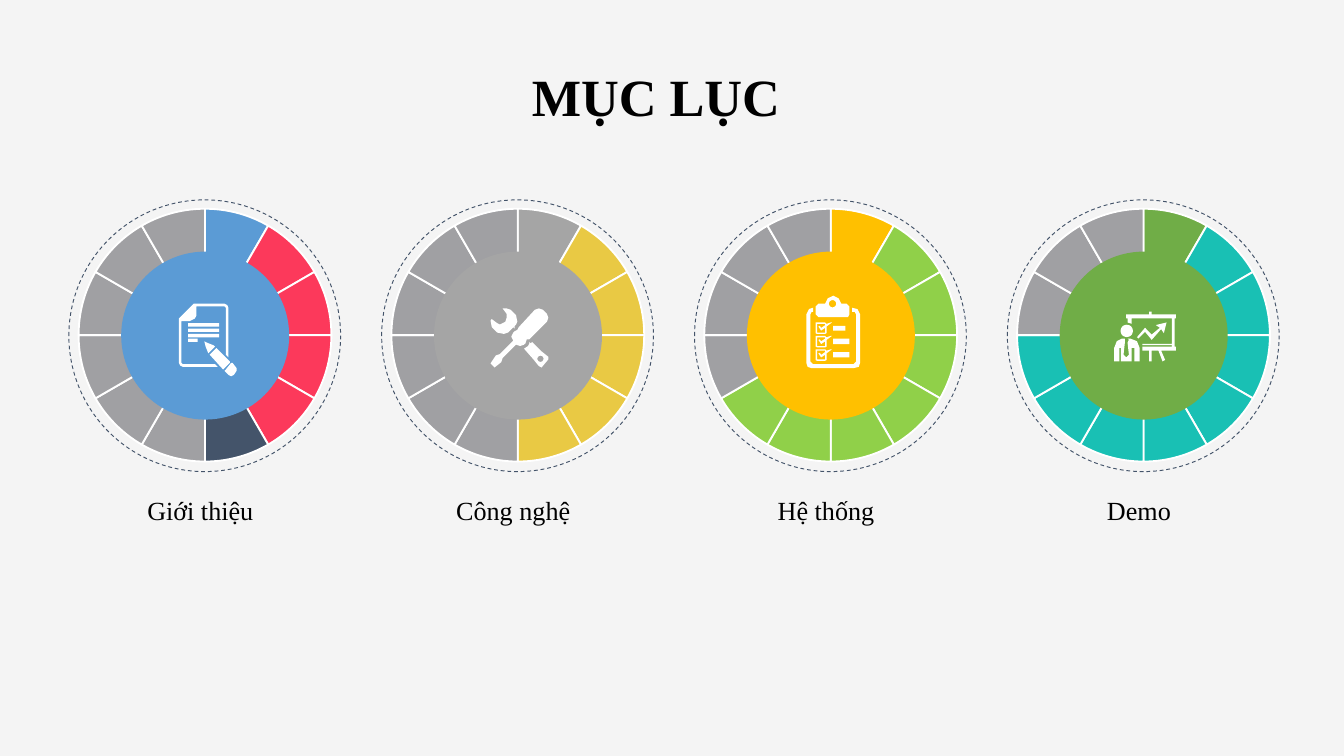
from math import cos, pi, sin

from lxml.etree import SubElement
from pptx import Presentation
from pptx.chart.data import CategoryChartData
from pptx.dml.color import RGBColor
from pptx.enum.chart import XL_CHART_TYPE
from pptx.enum.dml import MSO_LINE
from pptx.enum.shapes import MSO_SHAPE
from pptx.enum.text import MSO_ANCHOR, PP_ALIGN
from pptx.oxml.ns import qn
from pptx.util import Pt

STEP = 167.6
GRAY = "A0A0A3"
ICON_UNIT = 0.72
ICON_DETAIL = 10

# Name, hub colour, colours of the segments after the first, icon left and top
TOPICS = [
    ("Giới thiệu", "5B9BD5", ["FC395B"] * 4 + ["44546A"], 95.8, 162.7),
    ("Công nghệ", "A5A5A5", ["E9C944"] * 5, 262.8, 164.5),
    ("Hệ thống", "FFC000", ["90D049"] * 7, 432, 158.4),
    ("Demo", "70AD47", ["19C0B4"] * 8, 596.9, 167),
]


def color(hex_code):
    return RGBColor.from_string(hex_code)


def apply(target, values):
    for name, value in values.items():
        setattr(target, name, value)


def outline(text):
    """Turn "x,y x,y ..." into a list of points."""
    return [tuple(map(float, pair.split(","))) for pair in text.split()]


def box(left, top, right, bottom):
    return [(left, top), (right, top), (right, bottom), (left, bottom)]


def circle(x, y, radius, sides=24):
    angles = [2 * pi * i / sides for i in range(sides)]
    return [(x + radius * cos(a), y + radius * sin(a)) for a in angles]


def shift_down(points, distance):
    return [(x, y + distance) for x, y in points]


DOCUMENT = [
    outline("11,0 34,0 36,1 37,3 37,40 35,38 35,3 34,2 13,2 13,9 12,11 8,13 2,13 "
            "2,44 3,45 27,45 29,47 3,47 1,46 0,44 0,11"),
    *[box(7, top, 30, top + 2.5) for top in (14.5, 18.5, 22.5)],
    box(7, 26, 14, 28.5),
    outline("19,28 21,29 26,31 27,32 22,37 20,32"),
    outline("28,33 38,43 38,44 37,45 33,49 23,38"),
    outline("39,44 40,44 43,48 43,50 41,53 39,54 37,53 34,50 35,49"),
]

TOOLS = [
    outline("29,26 29,27 28,29 25,31 32,39 36,44 38,45 43,39 43,37 38,33 31,26 30,27"),
    circle(37.2, 38.5, 2.3),
    outline("16,16 17,15 18,16 18,14 19,13 20,11 19,6 15,2 12,1 9,1 12,5 12,8 11,11 "
            "7,13 5,12 1,9 0,10 1,15 5,19 10,20 13,19 15,17"),
    outline("42,5 39,2 36,1 33,2 21,15 20,17 18,18 17,19 15.5,22 17,25 7,35 4,36 "
            "0,42 3,45 8,41 9,38 19,28 22,29 25,28 26,27 27,24 29,24 42,11 43,8"),
]

CHECK_BOX = [
    outline("7,0 14,0 15,1 18,0 19,0 15,3 15,8 14,8.5 8,8.5 7,8"),
    outline("8,1 14,1 14,2 11,4 10,2.5 9,3 11,6 14,4 14,7.5 8,7.5"),
]

CLIPBOARD = [
    outline("5,9 2,10 0,14 0,50 1,53 4,54 35,54 39,53 40,50 40,14 38,10 34,9 34,12 "
            "36,12 37,14 37,49 35,51 5,51 3,49 3,14 4,12 5,12"),
    outline("14,6 9,6 7,8 7,14 9,16 31,16 32,14 32,8 30,6 26,6 24,2 20,0 16,2"),
    circle(19.5, 6, 2.7),
    *[shift_down(part, top) for top in (20, 30, 40) for part in CHECK_BOX],
    box(20, 22.5, 29, 26),
    box(20, 32, 32, 36),
    box(20, 42, 32, 46),
]

PRESENTER = [
    outline("23,12 17,19 18,20 23,15 28,21 35,13 37,16 39,8 31,10 34,12 28,17"),
    outline("46,5 46,2 28,2 28,0 26,0 26,2 9,2 9,5 10,5 10,8 13,9 13,5 43,5 43,24 "
            "21,24 21,25 43,25 43,26 21,26 21,29 26,29 26,37 28,37 28,29 33,29 "
            "36,37 38,36 35,29 46,29 46,26 45,26 45,5"),
    circle(9.4, 14.3, 4.6),
    outline("12,20 10,20 11,21 10,23 11,32 9,34 7,32 8,23 8,20 6,20 2,22 0,27 0,37 "
            "4,37 4,27 5,27 5,37 13,37 13,27 15,27 15,37 19,37 19,27 17,22"),
]

ICONS = [DOCUMENT, TOOLS, CLIPBOARD, PRESENTER]


class Deck:
    serif = "Times New Roman"
    ink = "000000"
    white = "FFFFFF"

    def __init__(self, width, height):
        self.presentation = Presentation()
        apply(self.presentation, {"slide_width": Pt(width), "slide_height": Pt(height)})
        self.slide = self.presentation.slides.add_slide(self.presentation.slide_layouts[6])
        self.shapes = self.slide.shapes

    def background(self, fill):
        self.slide.background.fill.solid()
        self.slide.background.fill.fore_color.rgb = color(fill)

    def text(self, wording, left, top, width, height, font, paragraph):
        frame = self.shapes.add_textbox(Pt(left), Pt(top), Pt(width), Pt(height)).text_frame
        apply(frame, {"word_wrap": True, "vertical_anchor": MSO_ANCHOR.BOTTOM})
        line = frame.paragraphs[0]
        apply(line, {"alignment": PP_ALIGN.CENTER, **paragraph})
        run = line.add_run()
        run.text = wording
        apply(run.font, {"name": self.serif, **font})
        run.font.color.rgb = color(self.ink)

    def disc(self, left, top, size, fill):
        disc = self.shapes.add_shape(MSO_SHAPE.OVAL, Pt(left), Pt(top), Pt(size), Pt(size))
        disc.shadow.inherit = False
        disc.fill.solid()
        disc.fill.fore_color.rgb = color(fill)
        disc.line.fill.background()

    def dashed_ring(self, left, top, size, stroke):
        ring = self.shapes.add_shape(MSO_SHAPE.OVAL, Pt(left), Pt(top), Pt(size), Pt(size))
        ring.shadow.inherit = False
        ring.fill.background()
        ring.line.color.rgb = color(stroke)
        apply(ring.line, {"width": Pt(0.5), "dash_style": MSO_LINE.DASH})

    def doughnut(self, left, top, width, height, segments, diameter):
        data = CategoryChartData()
        data.categories = [str(i + 1) for i in range(len(segments))]
        data.add_series("Series 1", [8] * len(segments))
        chart = self.shapes.add_chart(XL_CHART_TYPE.DOUGHNUT, Pt(left), Pt(top),
                                      Pt(width), Pt(height), data).chart
        apply(chart, {"has_legend": False, "has_title": False})
        apply(chart.font, {"name": "Calibri", "size": Pt(18)})
        chart.font.color.rgb = color(self.ink)
        plot = chart.plots[0]
        for i, fill in enumerate(segments):
            segment = plot.series[0].points[i].format
            segment.fill.solid()
            segment.fill.fore_color.rgb = color(fill)
            segment.line.color.rgb = color(self.white)
            segment.line.width = Pt(1)
        ring = plot._element
        ring.find(qn("c:holeSize")).set("val", "85")
        self.center_plot(ring.getparent(), diameter / width, diameter / height)

    def center_plot(self, area, width, height):
        """Give the plot a centred place, as shares of the chart's size."""
        for old in area.findall(qn("c:layout")):
            area.remove(old)
        layout = SubElement(area, qn("c:layout"))
        area.insert(0, layout)
        manual = SubElement(layout, qn("c:manualLayout"))
        settings = {"layoutTarget": "inner", "xMode": "edge", "yMode": "edge",
                    "x": (1 - width) / 2, "y": (1 - height) / 2, "w": width, "h": height}
        for tag, value in settings.items():
            SubElement(manual, qn(f"c:{tag}")).set("val", str(value))

    def icon(self, left, top, contours):
        scaled = [[(round(x * ICON_DETAIL), round(y * ICON_DETAIL)) for x, y in contour]
                  for contour in contours]
        builder = self.shapes.build_freeform(*scaled[0][0], scale=Pt(ICON_UNIT / ICON_DETAIL))
        for contour in scaled:
            if contour is not scaled[0]:
                builder.move_to(*contour[0])
            builder.add_line_segments(contour[1:], close=True)
        icon = builder.convert_to_shape(Pt(left), Pt(top))
        icon.shadow.inherit = False
        icon.fill.solid()
        icon.fill.fore_color.rgb = color(self.white)
        icon.line.fill.background()


def main():
    deck = Deck(720, 405)
    deck.background("F4F4F4")
    deck.text("MỤC LỤC", 173.5, 35.3, 355.7, 36.7,
              {"size": Pt(28), "bold": True}, {"line_spacing": 0.9})
    for i, (name, hub, progress, _, _) in enumerate(TOPICS):
        offset = i * STEP
        segments = [hub] + progress + [GRAY] * (11 - len(progress))
        deck.dashed_ring(36.9 + offset, 107.1, 145.6, "44546A")
        deck.doughnut(27.4 + offset, 101.5, 164.9, 156.2, segments, 135.5)
        deck.text(name, 38.6 + offset, 258.5, 137.5, 26.6,
                  {"size": Pt(14)}, {"space_after": Pt(8)})
        deck.disc(64.9 + offset, 134.8, 90, hub)
    for (*_, left, top), contours in zip(TOPICS, ICONS):
        deck.icon(left, top, contours)
    deck.presentation.save("out.pptx")


if __name__ == "__main__":
    main()
